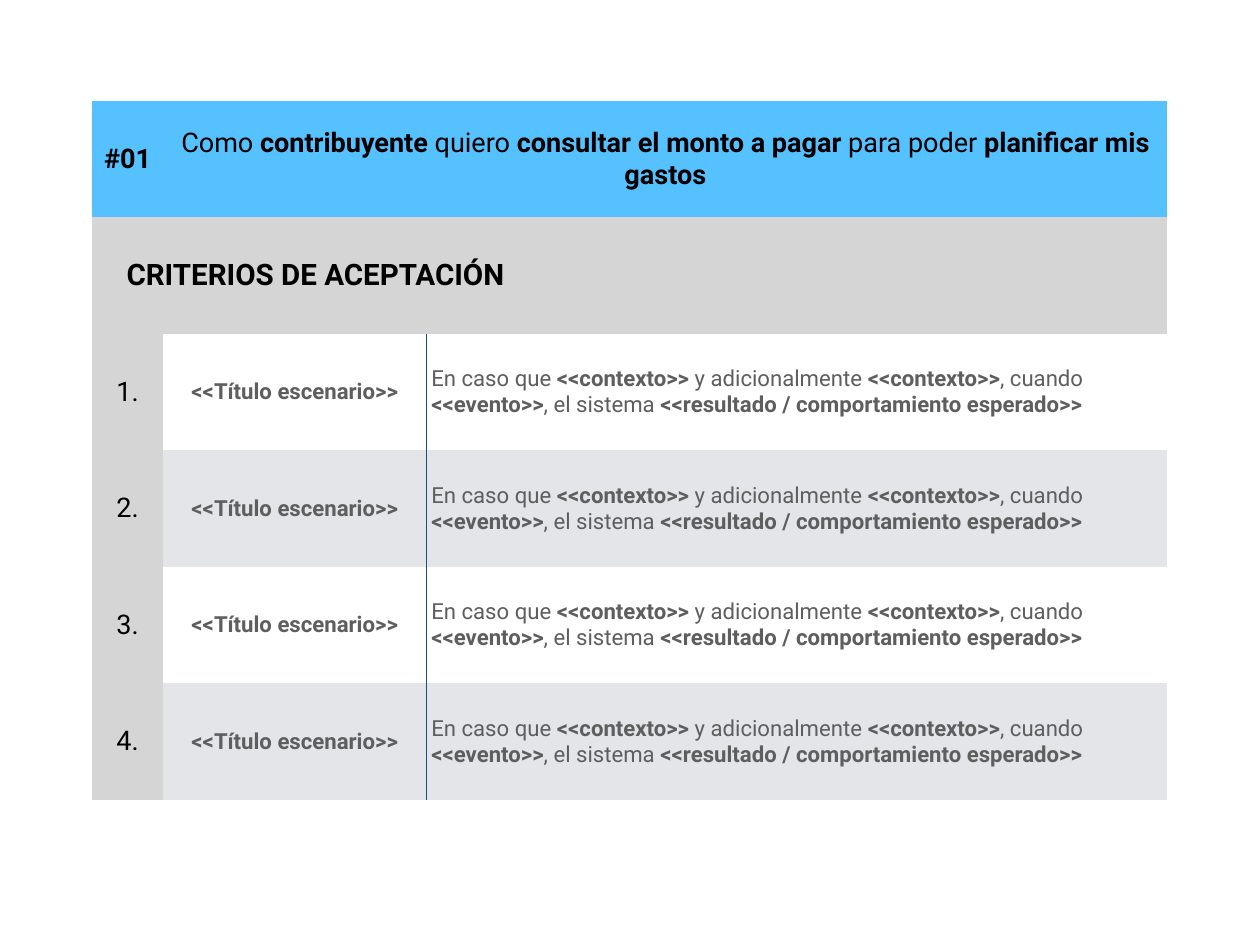
from lxml import etree
from pptx import Presentation
from pptx.dml.color import RGBColor
from pptx.enum.text import MSO_ANCHOR, PP_ALIGN
from pptx.oxml.ns import qn
from pptx.util import Pt

CENTER, LEFT = PP_ALIGN.CENTER, PP_ALIGN.LEFT
MIDDLE = MSO_ANCHOR.MIDDLE

BLUE, GRAY, WHITE, PALE = "56C1FF", "D6D5D5", "FFFFFF", "E3E5E8"
BLACK, TEXT_GRAY, DIVIDER = "000000", "5E5E5E", "164F86"
PLAIN_TABLE_STYLE = "{2D5ABB26-0587-4C30-8999-92F81FD0307C}"

COLUMN_WIDTHS = [57.7, 214, 345, 257.3]
ROW_HEIGHT = 94.7
MARGIN = 4
HEADING_INDENT = 28
SCENARIO_COUNT = 4

STORY = ("Como **contribuyente **quiero **consultar el monto a pagar**"
         " para poder **planificar mis gastos**")
SCENARIO_TITLE = "**<<Título escenario>>**"
CRITERION = ("En caso que **<<contexto>>** y adicionalmente **<<contexto>>**, cuando "
             "**<<evento>>**, el sistema **<<resultado / comportamiento esperado>>**")


def color(hex_value):
    return RGBColor.from_string(hex_value)


def add_marked_text(paragraph, text, size, text_color):
    """Add runs to the paragraph; parts between ** marks are bold."""
    for index, part in enumerate(text.split("**")):
        if not part:
            continue
        run = paragraph.add_run()
        run.text = part
        font_format = {"name": "Roboto", "size": Pt(size), "bold": index % 2 == 1}
        for name, value in font_format.items():
            setattr(run.font, name, value)
        run.font.color.rgb = color(text_color)


def fill_cell(cell, text, fill, size=22, text_color=BLACK, align=CENTER, left=MARGIN):
    cell_format = {
        "vertical_anchor": MIDDLE,
        "margin_left": Pt(left),
        "margin_right": Pt(MARGIN),
        "margin_top": Pt(MARGIN),
        "margin_bottom": Pt(MARGIN),
    }
    for name, value in cell_format.items():
        setattr(cell, name, value)
    cell.fill.solid()
    cell.fill.fore_color.rgb = color(fill)
    paragraph = cell.text_frame.paragraphs[0]
    paragraph.alignment = align
    add_marked_text(paragraph, text, size, text_color)


def add_border(cell, side):
    """Draw the divider on one side of the cell: "L" or "R"."""
    properties = cell._tc.get_or_add_tcPr()
    line = etree.Element(qn(f"a:ln{side}"), w=str(Pt(1)))
    line_fill = etree.SubElement(line, qn("a:solidFill"))
    etree.SubElement(line_fill, qn("a:srgbClr"), val=DIVIDER)
    properties.insert(0, line)


def add_plain_table(slide, left, top, row_count):
    """Add a table without the banded style."""
    frame = slide.shapes.add_table(
        row_count, len(COLUMN_WIDTHS), Pt(left), Pt(top),
        Pt(sum(COLUMN_WIDTHS)), Pt(ROW_HEIGHT * row_count))
    table = frame.table
    table.first_row = table.horz_banding = False
    table._tbl.tblPr.find(qn("a:tableStyleId")).text = PLAIN_TABLE_STYLE
    for column, width in zip(table.columns, COLUMN_WIDTHS):
        column.width = Pt(width)
    for row in table.rows:
        row.height = Pt(ROW_HEIGHT)
    return table


def merge_to_end(table, row, column):
    """Merge from the given cell to the last column and return the merged cell."""
    cell = table.cell(row, column)
    cell.merge(table.cell(row, len(COLUMN_WIDTHS) - 1))
    return cell


def add_scenario(table, number):
    row = number + 1
    fill = WHITE if number % 2 else PALE
    title = table.cell(row, 1)
    criterion = merge_to_end(table, row, 2)
    fill_cell(table.cell(row, 0), f"{number}.", GRAY)
    fill_cell(title, SCENARIO_TITLE, fill, 18, TEXT_GRAY)
    fill_cell(criterion, CRITERION, fill, 18, TEXT_GRAY, LEFT)
    add_border(title, "R")
    add_border(criterion, "L")


def main():
    presentation = Presentation()
    presentation.slide_width = Pt(1024)
    presentation.slide_height = Pt(768)
    slide = presentation.slides.add_slide(presentation.slide_layouts[6])

    table = add_plain_table(slide, 74.9, 82, SCENARIO_COUNT + 2)
    fill_cell(table.cell(0, 0), "**#01**", BLUE)
    fill_cell(merge_to_end(table, 0, 1), STORY, BLUE)
    fill_cell(merge_to_end(table, 1, 0), "**CRITERIOS DE ACEPTACIÓN**", GRAY,
              size=24, align=LEFT, left=HEADING_INDENT)
    for number in range(1, SCENARIO_COUNT + 1):
        add_scenario(table, number)

    presentation.save("out.pptx")


if __name__ == "__main__":
    main()
